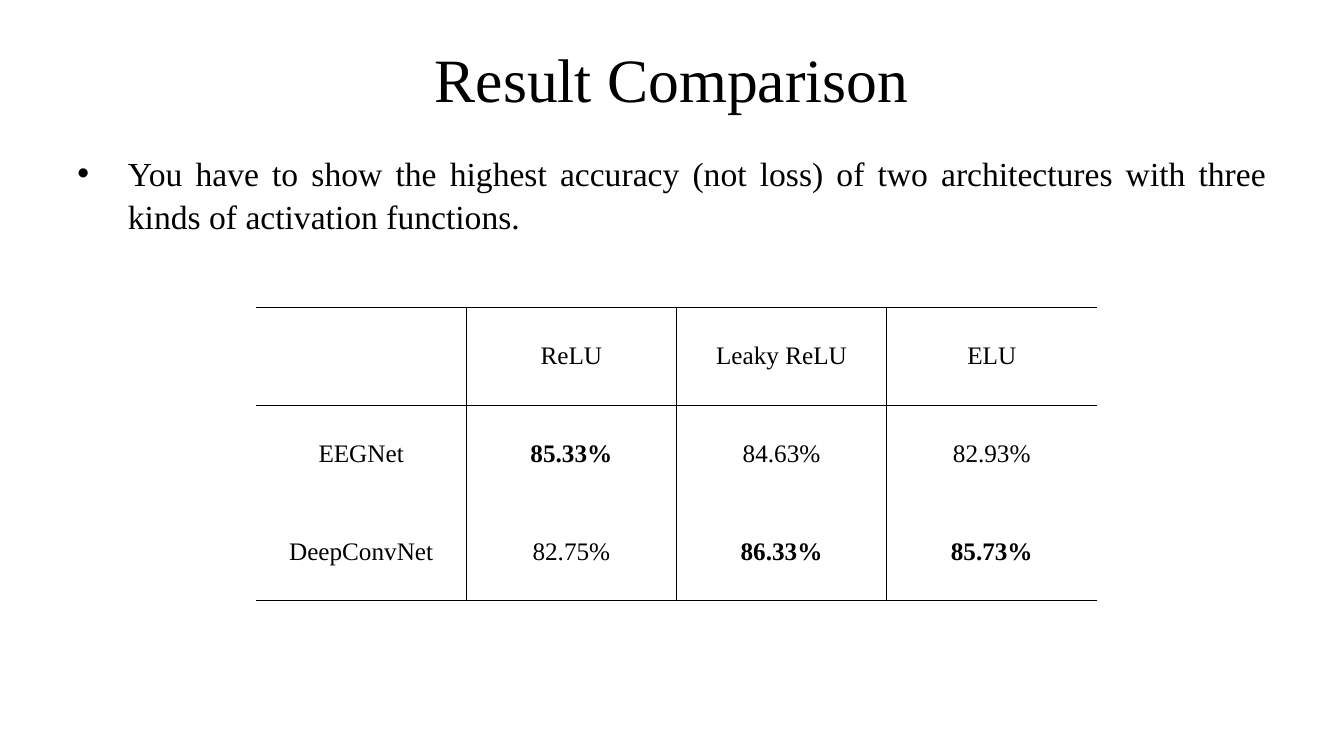
from lxml import etree
from pptx import Presentation
from pptx.dml.color import RGBColor
from pptx.enum.text import MSO_ANCHOR, MSO_AUTO_SIZE, PP_ALIGN
from pptx.oxml.ns import qn
from pptx.util import Inches, Pt

CENTER = PP_ALIGN.CENTER
JUSTIFY = PP_ALIGN.JUSTIFY
MIDDLE = MSO_ANCHOR.MIDDLE
NO_AUTOFIT = MSO_AUTO_SIZE.NONE
FONT = "Times New Roman"
BLACK = "000000"


def write(text_frame, text, size, alignment, bold=False):
    text_frame.text = text
    paragraph = text_frame.paragraphs[0]
    paragraph.alignment = alignment
    font = paragraph.runs[0].font
    font.name = FONT
    font.size = Pt(size)
    font.bold = bold
    font.color.rgb = RGBColor.from_string(BLACK)
    return paragraph


def set_borders(cell, drawn):
    properties = cell._tc.get_or_add_tcPr()
    for position, side in enumerate("LRTB"):
        line = etree.Element(qn(f"a:ln{side}"), w=str(Pt(1)))
        if side in drawn:
            fill = etree.SubElement(line, qn("a:solidFill"))
            etree.SubElement(fill, qn("a:srgbClr"), val=BLACK)
        else:
            etree.SubElement(line, qn("a:noFill"))
        properties.insert(position, line)


presentation = Presentation()
presentation.slide_width = Inches(13.33)
presentation.slide_height = Inches(7.5)
slide = presentation.slides.add_slide(presentation.slide_layouts[5])

title = slide.shapes.title
title.left, title.top = 0, Inches(0.01)
title.width, title.height = presentation.slide_width, Inches(1.61)
title.text_frame.vertical_anchor = MIDDLE
title.text_frame.auto_size = NO_AUTOFIT
paragraph = write(title.text_frame, "Result Comparison", 44, CENTER)
paragraph.line_spacing = 0.9

instruction = slide.shapes.add_textbox(Inches(0.67), Inches(1.44), Inches(11.99), Inches(1.37))
instruction.text_frame.word_wrap = True
paragraph = write(
    instruction.text_frame,
    "You have to show the highest accuracy (not loss) of two architectures "
    "with three kinds of activation functions.",
    24,
    JUSTIFY,
)
paragraph.line_spacing = 1.07
paragraph_properties = paragraph._p.get_or_add_pPr()
paragraph_properties.set("marL", str(Inches(0.5)))
paragraph_properties.set("indent", str(-Inches(0.5)))
etree.SubElement(paragraph_properties, qn("a:buFont"), typeface="Arial")
etree.SubElement(paragraph_properties, qn("a:buChar"), char="•")

results = [
    ["", "ReLU", "Leaky ReLU", "ELU"],
    ["EEGNet", "85.33%", "84.63%", "82.93%"],
    ["DeepConvNet", "82.75%", "86.33%", "85.73%"],
]
best_results = {"85.33%", "86.33%", "85.73%"}
row_borders = ["TB", "T", "B"]
column_borders = ["R", "LR", "LR", "L"]

table = slide.shapes.add_table(
    len(results), len(results[0]), Inches(2.54), Inches(3.05), Inches(8.34), Inches(2.91)
).table
table.first_row = False
table.horz_banding = False
for row, values in enumerate(results):
    for column, value in enumerate(values):
        cell = table.cell(row, column)
        cell.fill.background()
        cell.vertical_anchor = MIDDLE
        set_borders(cell, row_borders[row] + column_borders[column])
        if value:
            write(cell.text_frame, value, 18, CENTER, value in best_results)

presentation.save("out.pptx")
